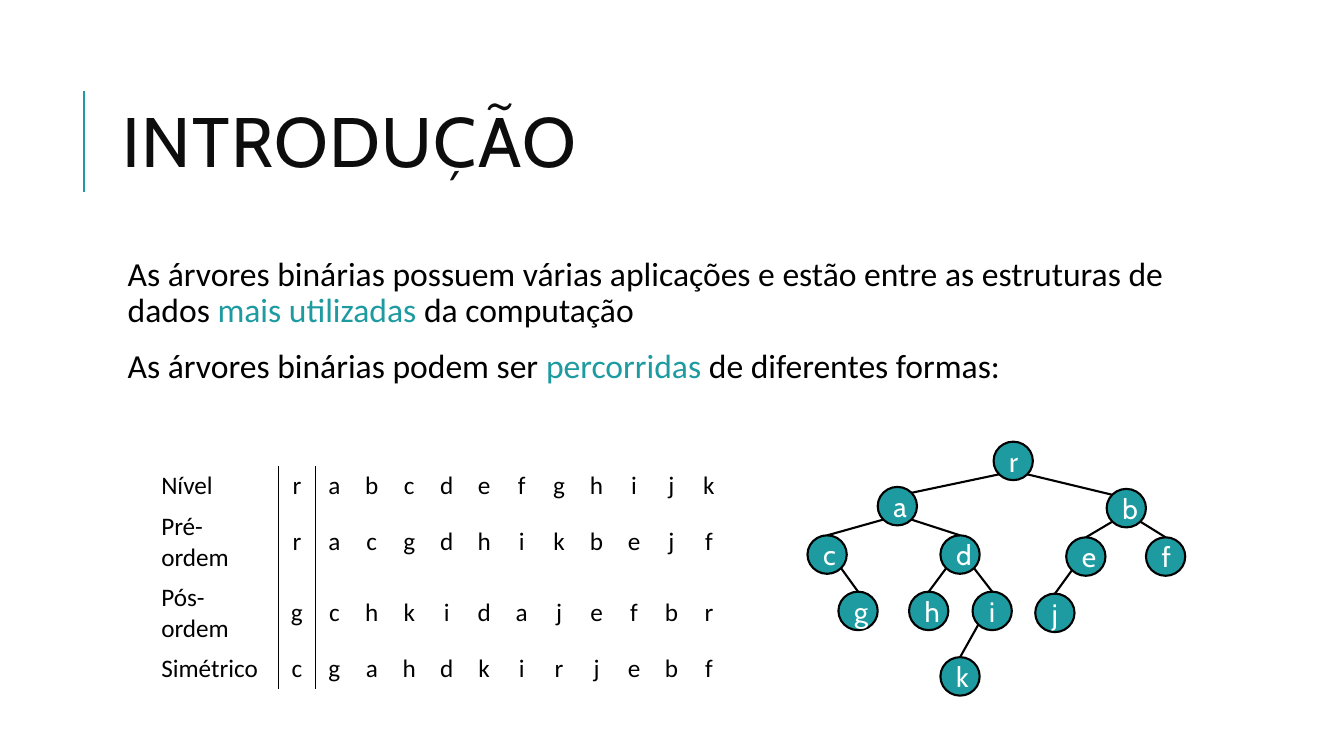
from dataclasses import dataclass

from lxml.etree import SubElement
from pptx import Presentation
from pptx.dml.color import RGBColor
from pptx.enum.shapes import MSO_CONNECTOR, MSO_SHAPE
from pptx.enum.text import MSO_ANCHOR, PP_ALIGN
from pptx.oxml import parse_xml
from pptx.oxml.ns import nsdecls, qn
from pptx.util import Cm, Pt

COLORS = {"teal": "1D9BA1", "black": "000000", "title": "0D0D0D", "white": "FFFFFF"}
NODE_WIDTH, NODE_HEIGHT = 0.99, 0.97
CORNER = 0.15
LABEL_WIDTH, LETTER_WIDTH, ROW_HEIGHT = 3.2, 0.944, 1.03


@dataclass(frozen=True)
class Node:
    letter: str
    left: float
    top: float
    parent: str = ""


@dataclass(frozen=True)
class Traversal:
    label: str
    order: str


@dataclass(frozen=True)
class Span:
    text: str
    color: str = "black"


NODES = [
    Node("r", 25.04, 11.13),
    Node("a", 22.12, 12.27, "r"),
    Node("b", 27.89, 12.32, "r"),
    Node("c", 20.35, 13.49, "a"),
    Node("d", 23.7, 13.49, "a"),
    Node("e", 26.87, 13.54, "b"),
    Node("f", 28.88, 13.54, "b"),
    Node("g", 21.13, 14.91, "c"),
    Node("h", 22.91, 14.91, "d"),
    Node("i", 24.51, 14.91, "d"),
    Node("j", 26.09, 14.96, "e"),
    Node("k", 23.7, 16.56, "i"),
]
TRAVERSALS = [
    Traversal("Nível", "rabcdefghijk"),
    Traversal("Pré-ordem", "racgdhikbejf"),
    Traversal("Pós-ordem", "gchkidajefbr"),
    Traversal("Simétrico", "cgahdkirjebf"),
]
PARAGRAPHS = [
    [
        Span("As árvores binárias possuem várias aplicações e estão entre as estruturas de dados "),
        Span("mais utilizadas ", "teal"),
        Span("da computação"),
    ],
    [
        Span("As árvores binárias podem ser "),
        Span("percorridas", "teal"),
        Span(" de diferentes formas:"),
    ],
]
BODY_FRAME = {"word_wrap": True} | {
    f"margin_{side}": Cm(0.13) for side in ("left", "right", "top", "bottom")
}
BODY_PARAGRAPH = {"line_spacing": 0.9, "space_before": Pt(12), "space_after": Pt(2)}
TITLE_FRAME = {"word_wrap": True, "vertical_anchor": MSO_ANCHOR.MIDDLE}
LETTER_CELL = {"vertical_anchor": MSO_ANCHOR.MIDDLE, "margin_left": 0, "margin_right": 0}


def color(name: str) -> RGBColor:
    return RGBColor.from_string(COLORS[name])


def apply(target, values: dict) -> None:
    for name, value in values.items():
        setattr(target, name, value)


def add_span(para, span: Span, size: float, font: str):
    run = para.add_run()
    run.text = span.text
    apply(run.font, {"size": Pt(size), "name": font})
    run.font.color.rgb = color(span.color)
    return run


def add_line(shapes, start: tuple, end: tuple, line_color: str) -> None:
    line = shapes.add_connector(MSO_CONNECTOR.STRAIGHT, *map(Cm, start + end))
    line.line.color.rgb = color(line_color)
    line.line.width = Pt(1.5)
    SubElement(line.element.spPr, qn("a:effectLst"))


def add_title(page) -> None:
    add_line(page.shapes, (2.11, 4.83), (2.11, 2.29), "teal")
    box = page.shapes.add_textbox(Cm(2.84), Cm(1.63), Cm(27), Cm(4.17))
    apply(box.text_frame, TITLE_FRAME)
    para = box.text_frame.paragraphs[0]
    para.line_spacing = 0.8
    run = add_span(para, Span("INTRODUÇÃO", "title"), 50, "Cabin")
    run.font.element.set("spc", "100") if hasattr(run.font, "element") else \
        run._r.get_or_add_rPr().set("spc", "100")


def add_body(page) -> None:
    box = page.shapes.add_textbox(Cm(2.84), Cm(6.35), Cm(27), Cm(11.18))
    frame = box.text_frame
    apply(frame, BODY_FRAME)
    for index, spans in enumerate(PARAGRAPHS):
        para = frame.add_paragraph() if index else frame.paragraphs[0]
        apply(para, BODY_PARAGRAPH)
        para._p.get_or_add_pPr().set("marL", str(Cm(0.25)))
        for span in spans:
            add_span(para, span, 24, "Calibri")


def add_edge(shapes, parent: Node, child: Node) -> None:
    to_right = child.left > parent.left
    start_x = parent.left + (NODE_WIDTH - CORNER if to_right else CORNER)
    start = (start_x, parent.top + NODE_HEIGHT - CORNER)
    if parent.parent:
        end = (child.left + NODE_WIDTH / 2, child.top)
    else:
        end_x = child.left + (CORNER if to_right else NODE_WIDTH - CORNER)
        end = (end_x, child.top + CORNER)
    add_line(shapes, start, end, "black")


def add_node(shapes, node: Node) -> None:
    circle = shapes.add_shape(
        MSO_SHAPE.OVAL, Cm(node.left), Cm(node.top), Cm(NODE_WIDTH), Cm(NODE_HEIGHT)
    )
    circle.shadow.inherit = False
    circle.fill.solid()
    circle.fill.fore_color.rgb = color("teal")
    circle.line.color.rgb = color("black")
    circle.line.width = Pt(1.5)
    para = circle.text_frame.paragraphs[0]
    para.alignment = PP_ALIGN.CENTER
    add_span(para, Span(node.letter, "white"), 20, "Cabin")


def add_tree(page) -> None:
    tree = page.shapes.add_group_shape()
    by_letter = {node.letter: node for node in NODES}
    for node in NODES:
        add_node(tree.shapes, node)
    for node in NODES:
        if node.parent:
            add_edge(tree.shapes, by_letter[node.parent], node)


def add_right_border(cell) -> None:
    border = parse_xml(
        f'<a:lnR {nsdecls("a")} w="12700"><a:solidFill>'
        f'<a:srgbClr val="{COLORS["black"]}"/></a:solidFill></a:lnR>'
    )
    cell._tc.get_or_add_tcPr().insert(0, border)


def add_traversals(page) -> None:
    letters = len(NODES)
    frame = page.shapes.add_table(
        len(TRAVERSALS), letters + 1, Cm(3.81), Cm(11.74),
        Cm(LABEL_WIDTH + letters * LETTER_WIDTH), Cm(ROW_HEIGHT * len(TRAVERSALS)),
    )
    table = frame.table
    apply(table, {"first_row": False, "horz_banding": False})
    frame.element.xpath(".//a:tableStyleId")[0].text = "{2D5ABB26-0587-4C30-8999-92F81FD0307C}"
    for index, column in enumerate(table.columns):
        column.width = Cm(LETTER_WIDTH if index else LABEL_WIDTH)
    for row, traversal in enumerate(TRAVERSALS):
        table.rows[row].height = Cm(ROW_HEIGHT)
        for index, text in enumerate([traversal.label, *traversal.order]):
            cell = table.cell(row, index)
            cell.fill.background()
            para = cell.text_frame.paragraphs[0]
            if index:
                apply(cell, LETTER_CELL)
                para.alignment = PP_ALIGN.CENTER
            if index < 2:
                add_right_border(cell)
            add_span(para, Span(text), 18, "Calibri")


deck = Presentation()
apply(deck, {"slide_width": Cm(33.87), "slide_height": Cm(19.05)})
page = deck.slides.add_slide(deck.slide_layouts[6])
add_title(page)
add_body(page)
add_tree(page)
add_traversals(page)
deck.save("out.pptx")
